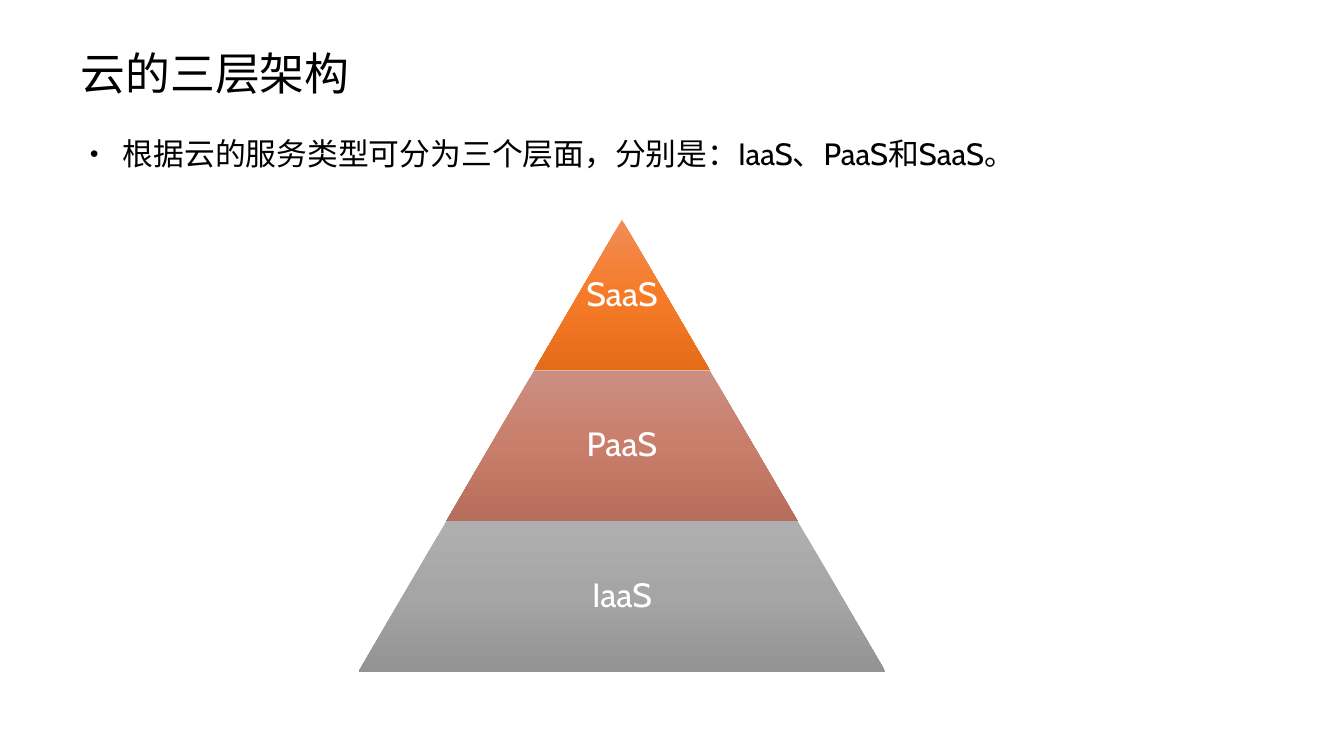
from copy import deepcopy
from dataclasses import dataclass

from lxml.etree import SubElement
from pptx import Presentation
from pptx.dml.color import RGBColor as Rgb
from pptx.enum.shapes import MSO_SHAPE as Shape
from pptx.enum.text import MSO_ANCHOR as Anchor, MSO_AUTO_SIZE as Fit, PP_ALIGN as Align
from pptx.oxml.ns import qn
from pptx.slide import Slide
from pptx.text.text import TextFrame, _Paragraph as Para
from pptx.util import Inches, Pt

WIDE, HIGH = Inches(13.33), Inches(7.5)
FONT = "Cabin"
HEX = {
    "ink": "000000", "white": "FFFFFF",
    "saas_top": "F18C57", "saas_mid": "F67B28", "saas_end": "E56C19",
    "paas_top": "CB8F81", "paas_mid": "C97E6B", "paas_end": "B76D5B",
    "iaas_top": "AFAFAF", "iaas_mid": "A5A5A5", "iaas_end": "939393",
}


@dataclass(frozen=True)
class Box:
    """Place and size in percent of the slide's width and height."""
    x: float
    y: float
    w: float
    h: float

    def emu(self) -> tuple[int, int, int, int]:
        return (round(self.x * WIDE / 100), round(self.y * HIGH / 100),
                round(self.w * WIDE / 100), round(self.h * HIGH / 100))


@dataclass(frozen=True)
class Tier:
    name: str
    hue: str


TITLE = Box(6, 6.53, 88, 7.07)
BODY = Box(6, 15.33, 88, 71.2)
TIERS = [Tier("SaaS", "saas"), Tier("PaaS", "paas"), Tier("IaaS", "iaas")]
AXIS, TOP = 46.28, 29.07    # centre line and tip of the pyramid
COL, ROW = 6.53, 19.92      # half of the tip's width, height of a tier


def write(frame: TextFrame, text: str, size: int, color: str,
          pads: tuple[float, float], lead: float) -> Para:
    frame.word_wrap = True
    frame.auto_size = Fit.NONE
    frame.margin_left = frame.margin_right = Inches(pads[0])
    frame.margin_top = frame.margin_bottom = Inches(pads[1])
    frame.text = text
    para = frame.paragraphs[0]
    para.line_spacing = lead
    para.space_before = Pt(0)
    font = para.runs[0].font
    font.name, font.size, font.bold = FONT, Pt(size), False
    font.color.rgb = Rgb.from_string(HEX[color])
    return para


def place(shape, box: Box) -> None:
    shape.left, shape.top, shape.width, shape.height = box.emu()


def add_bullet(para: Para) -> None:
    props = para._p.get_or_add_pPr()
    indent = Inches(0.33)
    props.set("marL", str(indent))
    props.set("indent", str(-indent))
    SubElement(props, qn("a:buSzPct")).set("val", "50000")
    SubElement(props, qn("a:buChar")).set("char", "●")


def shade(shape, hue: str) -> None:
    """Fill with a downward gradient of three stops."""
    fill = shape.fill
    fill.gradient()
    first = shape._element.spPr.find(".//" + qn("a:gs"))
    first.addnext(deepcopy(first))
    for stop, pos, part in zip(fill.gradient_stops, (0, 0.5, 1), ("top", "mid", "end")):
        stop.position = pos
        stop.color.rgb = Rgb.from_string(HEX[f"{hue}_{part}"])
    fill.gradient_angle = 270


def draw_tier(slide: Slide, row: int, tier: Tier) -> None:
    half = COL * (row + 1)
    y = TOP + ROW * row
    block = slide.shapes.add_shape(
        Shape.TRAPEZOID, *Box(AXIS - half, y, 2 * half, ROW).emu())
    block.adjustments[0] = COL * WIDE / (ROW * HIGH)
    block.shadow.inherit = False
    block.line.fill.background()
    shade(block, tier.hue)

    span = max(2 * COL, 1.3 * half)
    label = slide.shapes.add_textbox(*Box(AXIS - span / 2, y, span, ROW).emu())
    para = write(label.text_frame, tier.name, 24, "white", (0.03, 0.03), 0.9)
    label.text_frame.vertical_anchor = Anchor.MIDDLE
    para.alignment = Align.CENTER


def main() -> None:
    deck = Presentation()
    deck.slide_width, deck.slide_height = WIDE, HIGH
    slide = deck.slides.add_slide(deck.slide_layouts[1])

    title, body = slide.placeholders
    place(title, TITLE)
    head = write(title.text_frame, "云的三层架构", 32, "ink", (0, 0), 0.9)
    head.alignment = Align.LEFT
    title.text_frame.vertical_anchor = Anchor.MIDDLE

    place(body, BODY)
    item = write(body.text_frame, "根据云的服务类型可分为三个层面，分别是：IaaS、PaaS和SaaS。",
                 22, "ink", (0.09, 0.04), 1.4)
    item.alignment = Align.JUSTIFY
    body.text_frame.vertical_anchor = Anchor.TOP
    add_bullet(item)

    for row, tier in enumerate(TIERS):
        draw_tier(slide, row, tier)
    deck.save("out.pptx")


if __name__ == "__main__":
    main()
